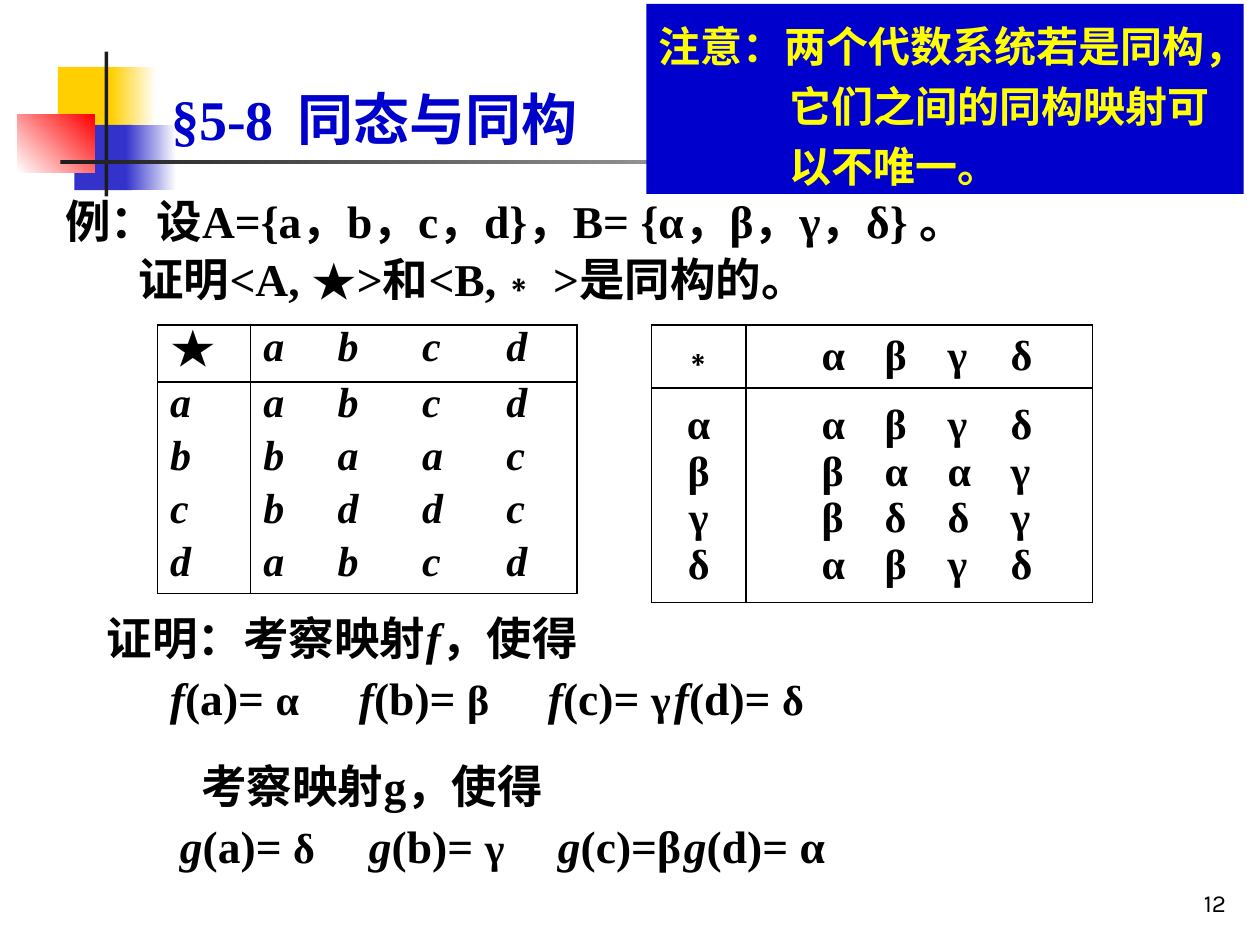
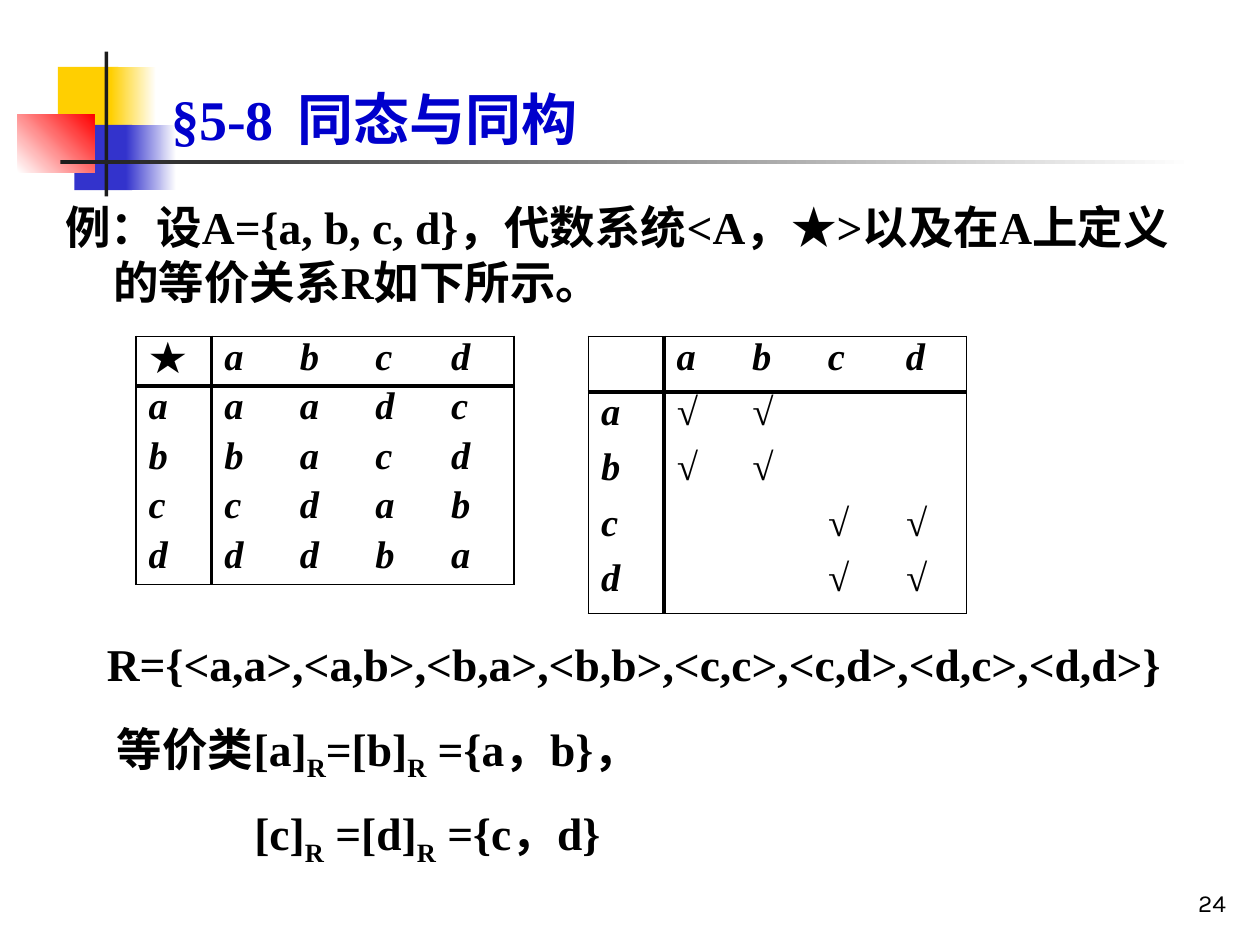
from dataclasses import dataclass

from lxml.etree import SubElement
from pptx import Presentation
from pptx.dml.color import RGBColor
from pptx.enum.shapes import MSO_SHAPE
from pptx.enum.text import MSO_ANCHOR, PP_ALIGN
from pptx.oxml.ns import qn
from pptx.util import Inches, Pt


@dataclass(frozen=True)
class Theme:
    serif: str = "Times New Roman"
    sans: str = "Karla"
    black: str = "000000"
    white: str = "FFFFFF"
    yellow: str = "FFCF01"
    blue: str = "3333CC"
    red: str = "FF0000"
    ink: str = "1C1C1C"
    heading: str = "0000CC"
    note: str = "FFFF00"
    title_size: int = 32
    text_size: int = 26
    symbol_size: int = 24
    grid_size: int = 22
    number_size: int = 14


THEME = Theme()
ITALIC = {"italic": True}
SYMBOL = {"size": THEME.symbol_size}
SUB = {"baseline": -25000}

# ---- Content ----
TITLE = "§5-8\t同态与同构"
NOTE = "注意：两个代数系统若是同构，它们之间的同构映射可以不唯一。"


def mapping(name, values):
    """Runs such as f(a)= α, each one starting at its own tab stop."""
    runs = []
    for argument, value in values:
        runs += ["\t", (name, ITALIC), argument, (value, SYMBOL)]
    return runs


ISOMORPHISM = {
    "number": "12",
    "texts": [
        {"at": (0.42, 1.53, 8.92, 1.05), "lines": [
            {"runs": ["例：设A={a，b，c，d}，B= {α，β，γ，δ} 。"],
             "hang": 0.38, "spacing": 0.9, "before": 5.2},
            {"runs": ["证明<A, ★>和<B,∗ >是同构的。"],
             "indent": 0.58, "spacing": 0.9, "before": 5.2}]},
        {"at": (0.75, 4.75, 7.75, 1.06), "lines": [
            {"runs": ["证明：考察映射", ("f", ITALIC), "，使得"], "spacing": 1.1},
            {"runs": mapping("f", [("(a)= ", "α"), ("(b)= ", "β"),
                                   ("(c)= ", "γ"), ("(d)= ", "δ")]),
             "spacing": 1.1, "tabs": (0.9, 2.43, 4.04, 5.6)}]},
        {"at": (0.83, 5.92, 7.75, 1.06), "lines": [
            {"runs": ["考察映射g，使得"], "indent": 0.67, "spacing": 1.1},
            {"runs": mapping("g", [("(a)= ", "δ"), ("(b)= ", "γ"),
                                   ("(c)=β", ""), ("(d)= α", "")]),
             "spacing": 1.1, "tabs": (0.9, 2.47, 4.13, 5.7)}]},
    ],
    "tables": [
        {"at": (1.25, 2.58), "columns": (0.74, 0.59, 0.67, 0.67, 0.66),
         "heights": (0.45, 0.42, 0.42, 0.42, 0.42), "size": THEME.symbol_size,
         "star_size": THEME.text_size, "divider": 1,
         "rows": ["★abcd", "aabcd", "bbaac", "cbddc", "dabcd"]},
        {"at": (5.17, 2.58), "columns": (0.75, 2.75), "heights": (0.5, 1.7),
         "size": THEME.symbol_size, "divider": 1, "greek": True,
         "rows": [(["∗"], ["αβγδ"]),
                  (["α", "β", "γ", "δ"], ["αβγδ", "βααγ", "βδδγ", "αβγδ"])]},
    ],
}

EQUIVALENCE = {
    "number": "24",
    "texts": [
        {"at": (0.42, 1.53, 9.17, 5.05), "lines": [
            {"runs": ["例：设A={a, b, c, d}，代数系统<A，★>"
                      "以及在A上定义的等价关系R如下所示。"],
             "hang": 0.38, "before": 5.2}]},
        {"at": (0.75, 5, 8.67, 0.53), "lines": [
            {"runs": ["R={<a,a>,<a,b>,<b,a>,<b,b>,<c,c>,<c,d>,<d,c>,<d,d>}"],
             "before": 13}]},
        {"at": (0.83, 5.67, 8.08, 1.19), "lines": [
            {"runs": ["等价类[a]", ("R", SUB), "=[b]", ("R", SUB), " ={a，b}，"],
             "before": 13},
            {"runs": ["[c]", ("R", SUB), " =[d]", ("R", SUB), " ={c，d}"],
             "indent": 1.09, "before": 13}]},
    ],
    "tables": [
        {"at": (1.08, 2.67), "columns": (0.6,) * 5, "heights": (0.39,) * 5,
         "size": THEME.grid_size, "star_size": THEME.grid_size, "divider": 2.25,
         "rows": ["★abcd", "aaadc", "bbacd", "ccdab", "dddba"]},
        {"at": (4.67, 2.67), "columns": (0.6, 0.6, 0.6, 0.62, 0.58),
         "heights": (0.44,) * 5, "size": THEME.grid_size, "divider": 2.25,
         "rows": [" abcd", "a√√  ", "b√√  ", "c  √√", "d  √√"]},
    ],
}

# Left, top, width, height, gradient start, gradient end, angle
ORNAMENTS = [
    (0.46, 0.53, 0.48, 0.52, THEME.yellow, None, 0),
    (0.88, 0.53, 0.36, 0.52, THEME.yellow, THEME.white, 0),
    (0.59, 0.99, 0.46, 0.52, THEME.blue, None, 0),
    (1, 0.99, 0.4, 0.52, THEME.blue, THEME.white, 0),
    (0.14, 0.91, 0.61, 0.46, THEME.white, THEME.red, 45),
    (0.83, 0.41, 0.03, 1.15, THEME.ink, None, 0),
    (0.48, 1.27, 9, 0.03, THEME.ink, THEME.white, 0),
]
GREEK_TABS = (0.27, 0.95, 1.62, 2.28)


# ---- Drawing ----
def inches(values):
    return [Inches(value) for value in values]


def add_rectangle(slide, at, start, end=None, angle=0):
    rectangle = slide.shapes.add_shape(MSO_SHAPE.RECTANGLE, *inches(at))
    rectangle.shadow.inherit = False
    rectangle.line.fill.background()
    if end:
        rectangle.fill.gradient()
        rectangle.fill.gradient_angle = angle
        for stop, colour in zip(rectangle.fill.gradient_stops, (start, end)):
            stop.color.rgb = RGBColor.from_string(colour)
    else:
        rectangle.fill.solid()
        rectangle.fill.fore_color.rgb = RGBColor.from_string(start)
    return rectangle


def add_run(paragraph, text, **changes):
    style = {"name": THEME.serif, "size": THEME.text_size, "bold": True,
             "italic": False, "color": THEME.black} | changes
    run = paragraph.add_run()
    run.text = text
    run.font.color.rgb = RGBColor.from_string(style.pop("color"))
    if "baseline" in style:
        run._r.get_or_add_rPr().set("baseline", str(style.pop("baseline")))
    style["size"] = Pt(style["size"])
    for attribute, value in style.items():
        setattr(run.font, attribute, value)


def write(frame, lines, **style):
    """Fill a text frame with lines of runs; style applies to every run."""
    for index, line in enumerate(lines):
        paragraph = frame.paragraphs[0] if index == 0 else frame.add_paragraph()
        paragraph.alignment = line.get("align", PP_ALIGN.LEFT)
        paragraph.line_spacing = line.get("spacing", 1.0)
        paragraph.space_before = Pt(line.get("before", 0))
        hang = line.get("hang", 0)
        properties = paragraph._p.get_or_add_pPr()
        properties.set("marL", str(Inches(line.get("indent", hang))))
        properties.set("indent", str(-Inches(hang)))
        if "tabs" in line:
            stops = SubElement(properties, qn("a:tabLst"))
            for position in line["tabs"]:
                SubElement(stops, qn("a:tab"), pos=str(Inches(position)),
                           algn=line.get("tab_align", "l"))
        for part in line["runs"]:
            text, changes = (part, {}) if isinstance(part, str) else part
            if text:
                add_run(paragraph, text, **(style | changes))


def add_text(slide, at, lines, anchor=MSO_ANCHOR.TOP, **style):
    frame = slide.shapes.add_textbox(*inches(at)).text_frame
    frame.word_wrap = True
    frame.vertical_anchor = anchor
    write(frame, lines, **style)


def set_borders(cell, widths):
    """Draw the sides L, R, T, B; a width of 0 hides that side."""
    properties = cell._tc.get_or_add_tcPr()
    for side, width in zip("LRTB", widths):
        border = SubElement(properties, qn(f"a:ln{side}"), w=str(Pt(width)))
        if width:
            fill = SubElement(border, qn("a:solidFill"))
            SubElement(fill, qn("a:srgbClr"), val=THEME.black)
        else:
            SubElement(border, qn("a:noFill"))


def edge_widths(index, count, divider):
    """Widths before and after a cell: a frame, and one line after the first."""
    before = {0: 1, 1: divider}.get(index, 0)
    after = divider if index == 0 else int(index == count - 1)
    return before, after


def cell_lines(entry, column, table):
    if not table.get("greek"):
        size = table["star_size"] if entry == "★" else table["size"]
        run = (entry.strip(), {"size": size, "italic": entry != "★"})
        return [{"runs": [run], "spacing": 0.8}]
    if column == 0:
        return [{"runs": [symbol], "align": PP_ALIGN.CENTER} for symbol in entry]
    return [{"runs": ["".join("\t" + symbol for symbol in symbols)],
             "tabs": GREEK_TABS, "tab_align": "ctr"} for symbols in entry]


def add_operation_table(slide, table):
    columns, heights = table["columns"], table["heights"]
    grid = slide.shapes.add_table(
        len(heights), len(columns),
        *inches((*table["at"], sum(columns), sum(heights)))).table
    grid.first_row = grid.horz_banding = False
    for column, width in zip(grid.columns, columns):
        column.width = Inches(width)
    for r, (entries, height) in enumerate(zip(table["rows"], heights)):
        grid.rows[r].height = Inches(height)
        for c, entry in enumerate(entries):
            cell = grid.cell(r, c)
            set_borders(cell, edge_widths(c, len(columns), table["divider"])
                        + edge_widths(r, len(heights), table["divider"]))
            cell.fill.background()
            if table.get("greek"):
                cell.vertical_anchor = MSO_ANCHOR.MIDDLE
            write(cell.text_frame, cell_lines(entry, c, table), size=table["size"])


def add_note(slide):
    frame = add_rectangle(slide, (5.13, 0.03, 4.74, 1.51), THEME.heading).text_frame
    frame.word_wrap = True
    frame.vertical_anchor = MSO_ANCHOR.TOP
    write(frame, [{"runs": [NOTE], "hang": 1.04, "spacing": 1.2}],
          size=THEME.symbol_size, color=THEME.note)


def add_lesson(deck, lesson):
    slide = deck.slides.add_slide(deck.slide_layouts[6])
    for *at, start, end, angle in ORNAMENTS:
        add_rectangle(slide, at, start, end, angle)
    add_text(slide, (7.75, 6.83, 2.08, 0.5),
             [{"runs": [lesson["number"]], "align": PP_ALIGN.RIGHT}],
             MSO_ANCHOR.BOTTOM, name=THEME.sans, size=THEME.number_size, bold=False)
    add_text(slide, (1.26, 0, 8.52, 1.25), [{"runs": [TITLE], "tabs": (1.25,)}],
             MSO_ANCHOR.BOTTOM, size=THEME.title_size, color=THEME.heading)
    for text in lesson["texts"]:
        add_text(slide, **text)
    for table in lesson["tables"]:
        add_operation_table(slide, table)
    return slide


def main():
    deck = Presentation()
    deck.slide_width, deck.slide_height = Inches(10), Inches(7.5)
    add_note(add_lesson(deck, ISOMORPHISM))
    add_lesson(deck, EQUIVALENCE)
    deck.save("out.pptx")


if __name__ == "__main__":
    main()
